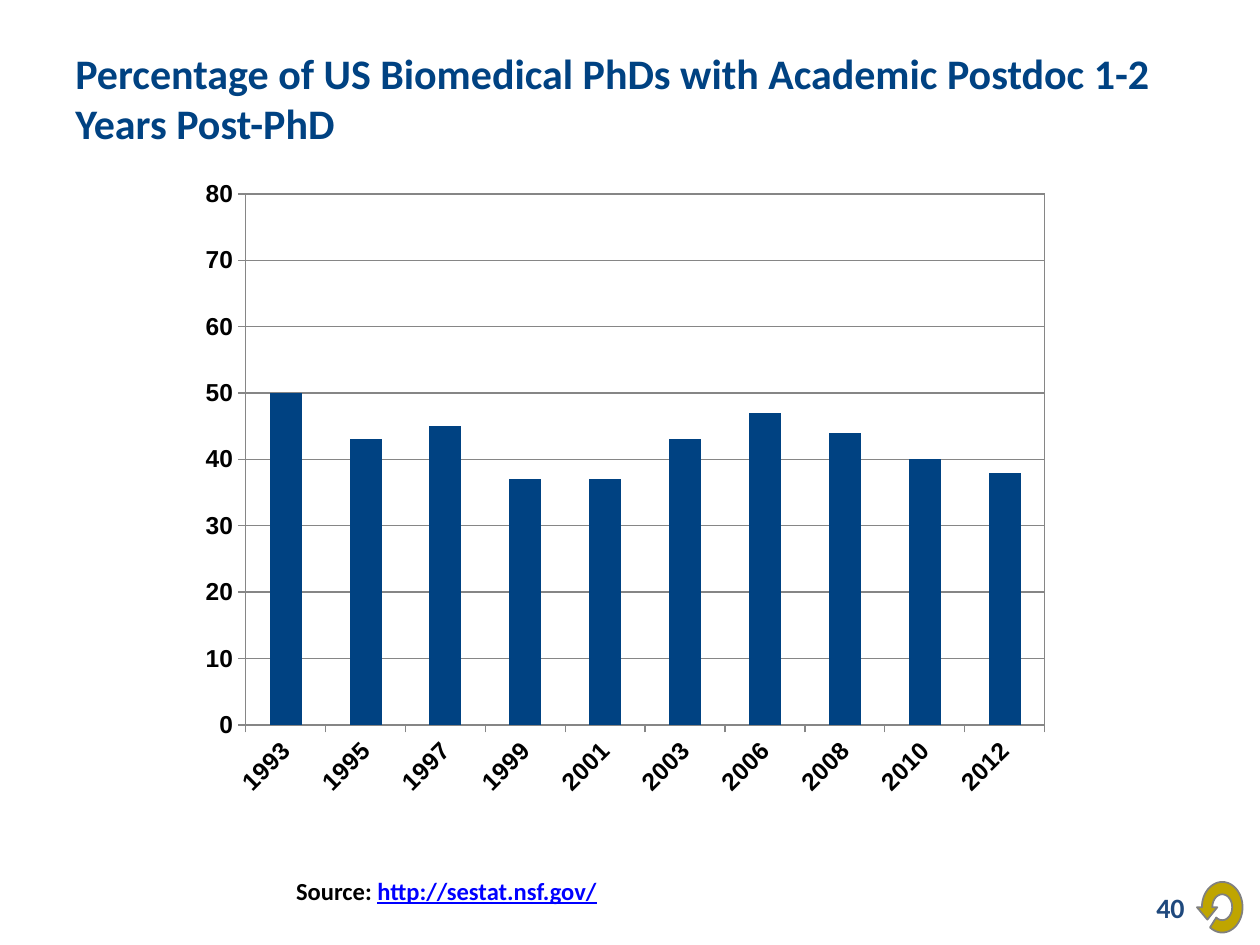
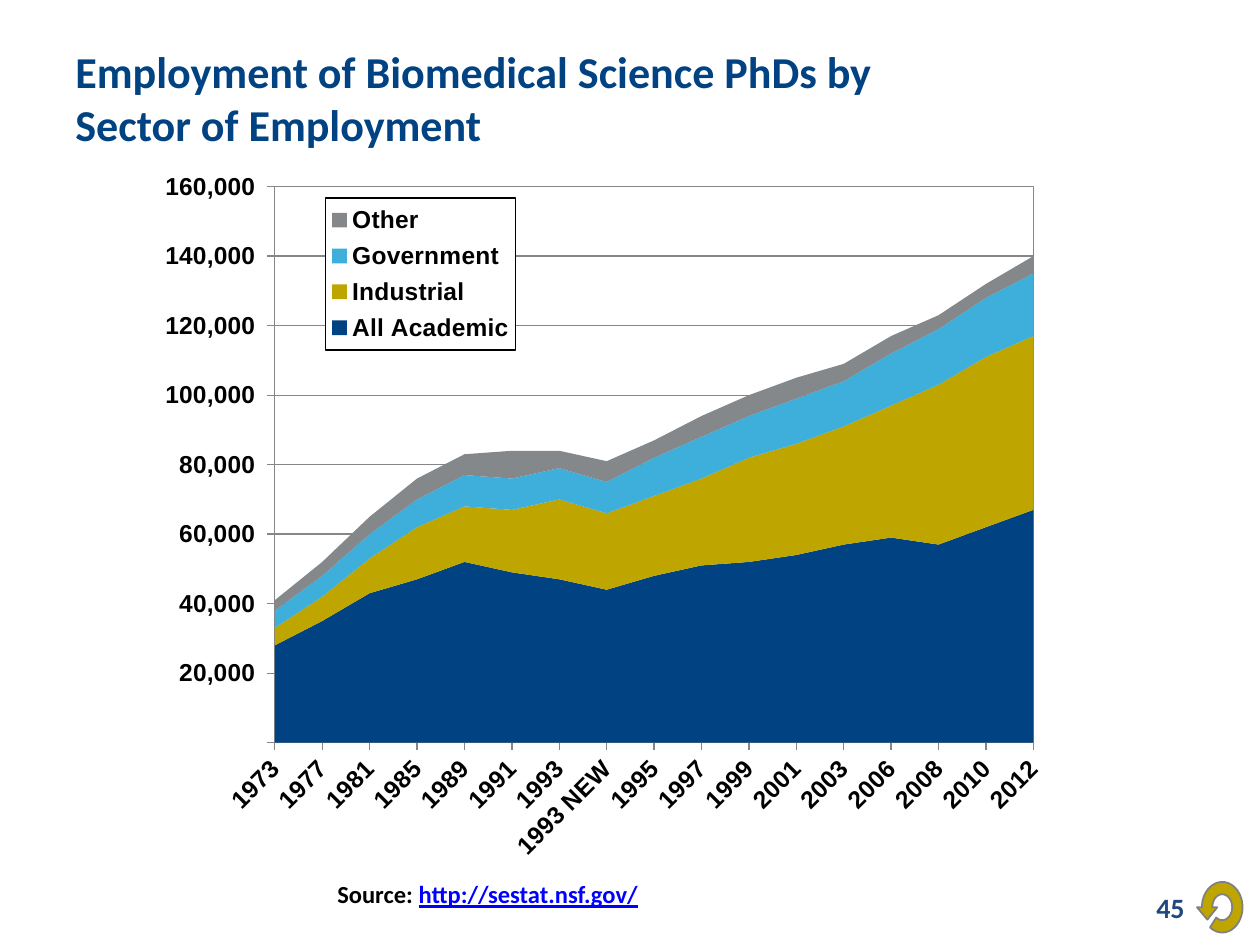
import math

from lxml import etree
from pptx import Presentation, util as u
from pptx.chart.data import CategoryChartData
from pptx.dml.color import RGBColor
from pptx.enum import chart as ch, shapes, text
from pptx.oxml import ns

HUES = {
    "navy": "004282", "gold": "BFA500", "sky": "3EAEDA", "grey": "84888B",
    "edge": "808080", "grid": "868686", "page": "1F497D", "link": "0000FF",
    "black": "000000", "white": "FFFFFF",
}
LINK = "http://sestat.nsf.gov/"


def hue(name):
    return RGBColor.from_string(HUES[name])


def sub(root, tag, **attrs):
    """Add a child element such as c:layout."""
    return etree.SubElement(root, ns.qn(tag), **attrs)


def layout(x, y, w, h, inner=False):
    """Manual chart layout, in shares of the chart frame."""
    root = etree.Element(ns.qn("c:layout"))
    man = sub(root, "c:manualLayout")
    if inner:
        sub(man, "c:layoutTarget", val="inner")
    for tag in ("xMode", "yMode"):
        sub(man, "c:" + tag, val="edge")
    for tag, val in zip("xywh", (x, y, w, h)):
        sub(man, "c:" + tag, val=str(val))
    return root


def frame(name):
    """White fill and thin outline for a chart part."""
    root = etree.Element(ns.qn("c:spPr"))
    sub(sub(root, "a:solidFill"), "a:srgbClr", val=HUES["white"])
    line = sub(root, "a:ln", w=str(u.Pt(0.75)))
    sub(sub(line, "a:solidFill"), "a:srgbClr", val=HUES[name])
    return root


class Deck:
    def __init__(self):
        self.prs = Presentation()
        self.prs.slide_width, self.prs.slide_height = u.Cm(25.4), u.Cm(19.05)
        self.slide = None

    def page(self, title, size, num, spot):
        """Start a slide with its title, source line, number and arrow."""
        self.slide = self.prs.slides.add_slide(self.prs.slide_layouts[6])
        mid = text.MSO_ANCHOR.MIDDLE
        self.label([(title, "navy")], (1.27, 0.76, 22.86, 2.41), size, mid)
        self.label([(str(num), "page")], (18.21, 17.78, 5.92, 1.02), 16, mid,
                   text.PP_ALIGN.RIGHT)
        para = self.label([("Source: ", "black"), (LINK, "link")],
                          (*spot, 12, 0.86), 14)
        para.runs[1].font.underline = True
        self.arrow(24.64, 18.29)

    def label(self, parts, box, size, anchor=text.MSO_ANCHOR.TOP,
              align=text.PP_ALIGN.LEFT):
        shape = self.slide.shapes.add_textbox(*map(u.Cm, box))
        body = shape.text_frame
        body.word_wrap, body.vertical_anchor = True, anchor
        para = body.paragraphs[0]
        para.alignment = align
        for words, name in parts:
            if "\v" in words:
                para.text = words
            else:
                para.add_run().text = words
        names = [name for words, name in parts for _ in words.split("\v")]
        for run, name in zip(para.runs, names):
            font = run.font
            font.name, font.size, font.bold = "Calibri", u.Pt(size), True
            font.color.rgb = hue(name)
        return para

    def arrow(self, x, y):
        """Draw the round return arrow about a centre."""
        def arc(wide, high, turns):
            return [(x + wide * math.cos(math.radians(t)),
                     y + high * math.sin(math.radians(t))) for t in turns]

        turns = [*range(180, 487, 6), 487]
        dots = arc(0.2, 0.26, turns) + arc(0.41, 0.51, turns[::-1])
        dots += [(x - 0.51, y), (x - 0.3, y + 0.25), (x - 0.1, y)]
        dots = [(u.Cm(a), u.Cm(b)) for a, b in dots]
        pen = self.slide.shapes.build_freeform(*dots[0])
        pen.add_line_segments(dots[1:], close=True)
        shape = pen.convert_to_shape()
        self.paint(shape, "gold")
        shape.line.color.rgb = hue("edge")
        shape.line.width = u.Pt(1)

    def paint(self, shape, name):
        shape.shadow.inherit = False
        shape.fill.solid()
        shape.fill.fore_color.rgb = hue(name)

    def patch(self, box):
        """Cover the mark at the foot of the value axis."""
        shape = self.slide.shapes.add_shape(
            shapes.MSO_SHAPE.RECTANGLE, *map(u.Cm, box))
        self.paint(shape, "white")
        shape.line.fill.background()

    def type(self, font):
        font.name, font.size, font.bold = "Arial", u.Pt(14), True
        font.color.rgb = hue("black")

    def chart(self, kind, cats, rows, box, plot, top, step, code):
        """Rows are (name, colour, values)."""
        data = CategoryChartData()
        data.categories = cats
        for name, _, vals in rows:
            data.add_series(name, vals)
        chart = self.slide.shapes.add_chart(
            kind, *map(u.Cm, box), data).chart
        chart.has_title = chart.has_legend = False
        self.type(chart.font)
        for axis in (chart.category_axis, chart.value_axis):
            self.type(axis.tick_labels.font)
            axis.major_tick_mark = ch.XL_TICK_MARK.OUTSIDE
            axis.minor_tick_mark = ch.XL_TICK_MARK.NONE
            axis.format.line.color.rgb = hue("grid")
        chart.category_axis.has_major_gridlines = False
        axis = chart.value_axis
        axis.minimum_scale, axis.maximum_scale = 0, top
        axis.major_unit, axis.has_major_gridlines = step, True
        axis.major_gridlines.format.line.color.rgb = hue("grid")
        axis.tick_labels.number_format = code
        axis.tick_labels.number_format_is_linked = False
        chart.plots[0].vary_by_categories = False
        for item, (_, name, _) in zip(chart.plots[0].series, rows):
            item.format.fill.solid()
            item.format.fill.fore_color.rgb = hue(name)
        root = chart.element
        root.xpath("//c:catAx/c:txPr/a:bodyPr")[0].set("rot", "-2700000")
        area = root.xpath("//c:plotArea")[0]
        for old in area.xpath("./c:layout"):
            area.remove(old)
        area.insert(0, layout(*plot, inner=True))
        area.append(frame("grid"))
        return chart

    def legend(self, chart, place):
        chart.has_legend = True
        key = chart.legend
        key.position = ch.XL_LEGEND_POSITION.RIGHT
        key.include_in_layout = True
        self.type(key.font)
        root = chart.element.xpath("//c:legend")[0]
        for old in root.xpath("./c:layout"):
            root.remove(old)
        root.xpath("./c:legendPos")[0].addnext(layout(*place))
        root.xpath("./c:overlay")[0].addnext(frame("black"))


def postdoc(deck):
    deck.page("Percentage of US Biomedical PhDs with Academic Postdoc 1-2 "
              "Years Post-PhD", 24, 40, (5.72, 17.53))
    years = "1993 1995 1997 1999 2001 2003 2006 2008 2010 2012".split()
    rows = [("Series 1", "navy", [50, 43, 45, 37, 37, 43, 47, 44, 40, 38])]
    chart = deck.chart(ch.XL_CHART_TYPE.COLUMN_CLUSTERED, years, rows,
                       (3.81, 3.38, 17.6, 12.9), (0.065, 0.041, 0.915, 0.83),
                       80, 10, "General")
    chart.plots[0].gap_width = 150


def sector(deck):
    deck.page("Employment of Biomedical Science PhDs by\vSector of Employment",
              25.2, 45, (6.55, 17.6))
    years = ["1973", "1977", "1981", "1985", "1989", "1991", "1993",
             "1993 NEW", "1995", "1997", "1999", "2001", "2003", "2006",
             "2008", "2010", "2012"]
    counts = [  # thousands
        ("All Academic", "navy", [28, 35, 43, 47, 52, 49, 47, 44, 48, 51, 52,
                                  54, 57, 59, 57, 62, 67]),
        ("Industrial", "gold", [5, 7, 10, 15, 16, 18, 23, 22, 23, 25, 30,
                                32, 34, 38, 46, 49, 50]),
        ("Government", "sky", [5, 6, 7, 8, 9, 9, 9, 9, 11, 12, 12,
                               13, 13, 15, 16, 17, 18]),
        ("Other", "grey", [3, 4, 5, 6, 6, 8, 5, 6, 5, 6, 6,
                           6, 5, 5, 4, 4, 5]),
    ]
    rows = [(name, tint, [1000 * val for val in vals])
            for name, tint, vals in counts]
    chart = deck.chart(ch.XL_CHART_TYPE.AREA_STACKED, years, rows,
                       (2.74, 3.2, 22.86, 14.43), (0.1225, 0.039, 0.669, 0.777),
                       160000, 20000,
                       '_(* #,##0_);_(* \\(#,##0\\);_(* "-"??_);_(@_)')
    chart.element.xpath("//c:crossBetween")[0].set("val", "midCat")
    deck.legend(chart, (0.167, 0.055, 0.168, 0.212))
    deck.patch((4.24, 14.6, 0.64, 0.64))


def main():
    deck = Deck()
    postdoc(deck)
    sector(deck)
    deck.prs.save("out.pptx")


if __name__ == "__main__":
    main()
